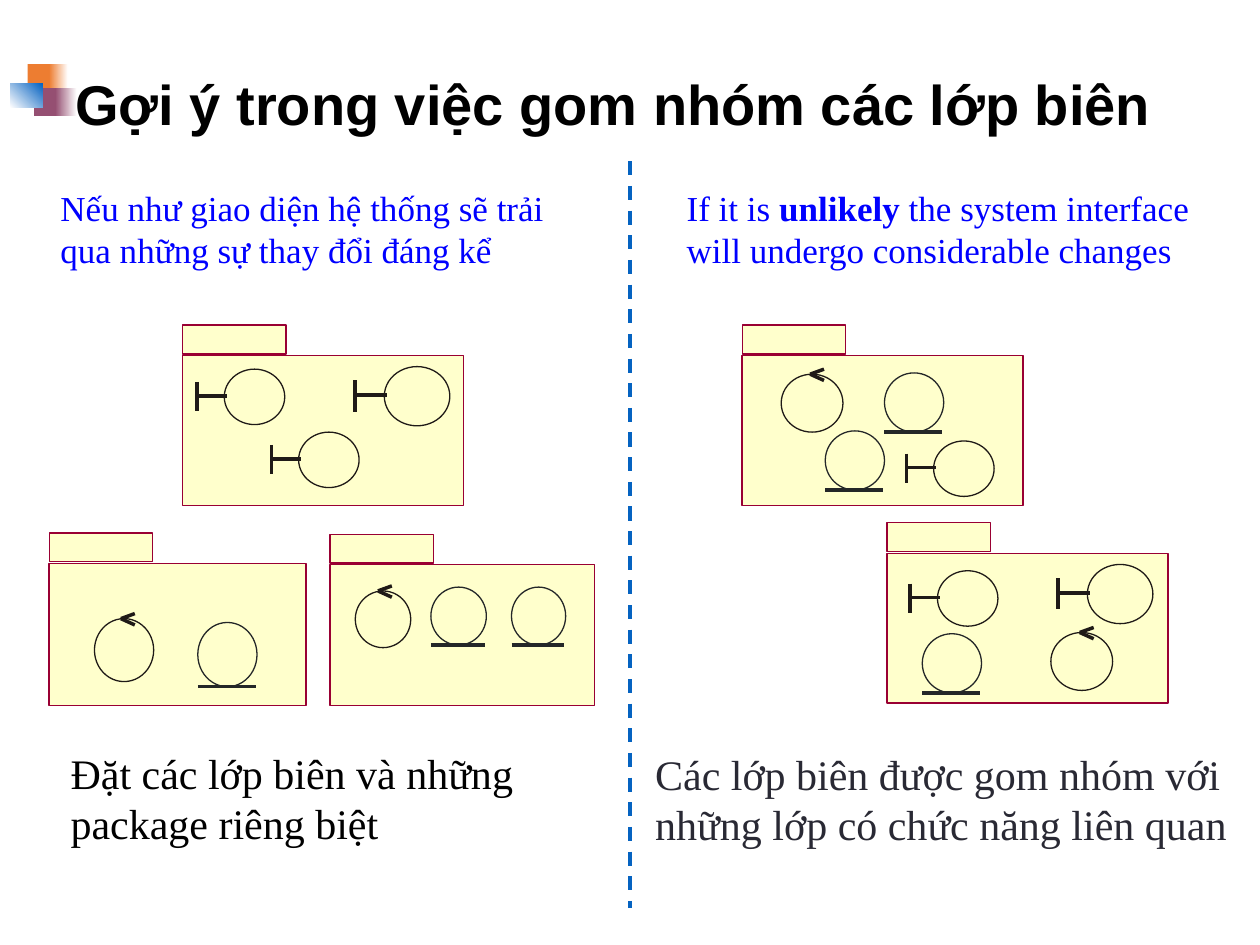
from dataclasses import dataclass

from lxml import etree
from pptx import Presentation
from pptx.dml.color import RGBColor
from pptx.enum.dml import MSO_LINE
from pptx.enum.shapes import MSO_CONNECTOR, MSO_SHAPE
from pptx.enum.text import MSO_ANCHOR, MSO_AUTO_SIZE
from pptx.oxml.ns import qn
from pptx.util import Inches, Pt

RECTANGLE, OVAL = MSO_SHAPE.RECTANGLE, MSO_SHAPE.OVAL
STRAIGHT = MSO_CONNECTOR.STRAIGHT
DASH = MSO_LINE.DASH
MIDDLE = MSO_ANCHOR.MIDDLE
GROW = MSO_AUTO_SIZE.SHAPE_TO_FIT_TEXT


@dataclass(frozen=True)
class Theme:
    heading_font: str = "Arial"
    body_font: str = "Times New Roman"
    title_size: int = 32
    condition_size: int = 20
    advice_size: int = 24
    hairline: int = 0
    divider_width: int = 2
    black: str = "000000"
    white: str = "FFFFFF"
    condition: str = "0000FF"
    advice: str = "292934"
    paper: str = "FFFFCC"
    package_edge: str = "990033"
    symbol_edge: str = "1F1A17"
    entity_edge: str = "242728"
    orange: str = "ED7D31"
    plum: str = "954F72"
    blue: str = "0563C1"


THEME = Theme()


def rgb(value):
    return RGBColor.from_string(value)


def add_block(slide, kind, box, fill, edge=None):
    block = slide.shapes.add_shape(kind, *map(Inches, box))
    block.shadow.inherit = False
    if isinstance(fill, str):
        block.fill.solid()
        block.fill.fore_color.rgb = rgb(fill)
    else:
        start, end, angle = fill
        block.fill.gradient()
        block.fill.gradient_angle = angle
        for stop, color in zip(block.fill.gradient_stops, (start, end)):
            stop.color.rgb = rgb(color)
    if edge:
        block.line.color.rgb = rgb(edge)
        block.line.width = Pt(THEME.hairline)
    else:
        block.line.fill.background()


def add_stroke(slide, start, end, color, width=THEME.hairline, dash=None):
    stroke = slide.shapes.add_connector(STRAIGHT, *map(Inches, (*start, *end)))
    etree.SubElement(stroke._element.spPr, qn("a:effectLst"))
    stroke.line.color.rgb = rgb(color)
    formats = {"width": Pt(width), "dash_style": dash}
    for name, value in formats.items():
        setattr(stroke.line, name, value)


def add_text(slide, box, paragraphs, font, color, frame_formats, spacing=None):
    frame = slide.shapes.add_textbox(*map(Inches, box)).text_frame
    for name, value in frame_formats.items():
        setattr(frame, name, value)
    for index, runs in enumerate(paragraphs):
        paragraph = frame.add_paragraph() if index else frame.paragraphs[0]
        paragraph.line_spacing = spacing
        for wording, bold in runs:
            run = paragraph.add_run()
            run.text = wording
            for name, value in {**font, "bold": bold}.items():
                setattr(run.font, name, value)
            run.font.color.rgb = rgb(color)


def add_ornament(slide, box):
    left, top = box[:2]
    tiles = (
        (0.14, 0, 0.2, 0.22, THEME.orange),
        (0.31, 0, 0.15, 0.22, (THEME.orange, THEME.white, 0)),
        (0.19, 0.19, 0.19, 0.22, THEME.plum),
        (0.36, 0.19, 0.17, 0.22, (THEME.plum, THEME.white, 0)),
        (0, 0.15, 0.26, 0.19, (THEME.white, THEME.blue, 45)),
    )
    for x, y, width, height, fill in tiles:
        add_block(slide, RECTANGLE, (left + x, top + y, width, height), fill)


def add_title(slide, box):
    add_text(slide, box, [[("Gợi ý trong việc gom nhóm các lớp biên", True)]],
             {"name": THEME.heading_font, "size": Pt(THEME.title_size)},
             THEME.black, {"word_wrap": True, "vertical_anchor": MIDDLE}, 0.9)


def add_body(slide, box, paragraphs, size, color, wrap=True):
    formats = {"word_wrap": wrap, "auto_size": GROW,
               "margin_left": Inches(0.12), "margin_right": Inches(0.12),
               "margin_top": Inches(0.06), "margin_bottom": Inches(0.06)}
    add_text(slide, box, paragraphs,
             {"name": THEME.body_font, "size": Pt(size)}, color, formats)


def add_boundary(slide, box):
    left, top, width, height = box
    add_block(slide, OVAL, box, THEME.paper, THEME.symbol_edge)
    bar, stem = left - 0.45 * width, top + 0.48 * height
    add_stroke(slide, (bar, top + 0.23 * height), (bar, top + 0.76 * height),
               THEME.symbol_edge)
    add_stroke(slide, (bar, stem), (left + 0.04 * width, stem), THEME.symbol_edge)


def add_control(slide, box):
    left, top, width, _ = box
    add_block(slide, OVAL, box, THEME.paper, THEME.symbol_edge)
    right = left + width
    for rise in (-0.04, 0.05):
        add_stroke(slide, (right - 0.15, top + rise), (right - 0.26, top),
                   THEME.symbol_edge)


def add_entity(slide, box):
    left, top, width, height = box
    add_block(slide, OVAL, box, THEME.paper, THEME.entity_edge)
    add_stroke(slide, (left, top + height), (left + width - 0.01, top + height),
               THEME.entity_edge)


def add_package(slide, box, classes):
    left, top = box[:2]
    add_block(slide, RECTANGLE, box, THEME.paper, THEME.package_edge)
    add_block(slide, RECTANGLE, (left, top - 0.24, 0.82, 0.23),
              THEME.paper, THEME.package_edge)
    for add_symbol, x, y, width, height in classes:
        add_symbol(slide, (left + x, top + y, width, height))


def add_changing_side(slide, box):
    left, top = box[:2]
    add_body(slide, (left + 0.36, top + 0.14, 4.33, 0.79),
             [[("Nếu như giao diện hệ thống sẽ trải qua những sự thay đổi đáng kể", False)]],
             THEME.condition_size, THEME.condition)
    add_package(slide, (left + 1.45, top + 1.54, 2.23, 1.19), (
        (add_boundary, 1.6, 0.09, 0.52, 0.47),
        (add_boundary, 0.92, 0.61, 0.48, 0.44),
        (add_boundary, 0.33, 0.11, 0.48, 0.44)))
    add_package(slide, (left + 0.39, top + 3.19, 2.04, 1.13), (
        (add_control, 0.36, 0.44, 0.47, 0.5),
        (add_entity, 1.18, 0.47, 0.47, 0.51)))
    add_package(slide, (left + 2.62, top + 3.2, 2.1, 1.12), (
        (add_control, 0.2, 0.21, 0.44, 0.45),
        (add_entity, 0.8, 0.18, 0.44, 0.46),
        (add_entity, 1.44, 0.18, 0.43, 0.46)))
    add_body(slide, (left + 0.44, top + 4.59, 4.05, 0.93),
             [[("Đặt các lớp biên và những package riêng biệt", False)]],
             THEME.advice_size, THEME.black)


def add_stable_side(slide, box):
    left, top = box[:2]
    add_body(slide, (left + 0.33, top + 0.14, 4.33, 1.12),
             [[("If it is ", False), ("unlikely", True),
               (" the system interface will undergo considerable changes", False)]],
             THEME.condition_size, THEME.condition)
    add_package(slide, (left + 0.89, top + 1.54, 2.23, 1.19), (
        (add_control, 0.31, 0.15, 0.49, 0.46),
        (add_entity, 1.13, 0.14, 0.47, 0.47),
        (add_boundary, 1.52, 0.68, 0.48, 0.44),
        (add_entity, 0.66, 0.6, 0.47, 0.47)))
    add_package(slide, (left + 2.04, top + 3.11, 2.23, 1.19), (
        (add_boundary, 1.59, 0.09, 0.52, 0.47),
        (add_boundary, 0.4, 0.14, 0.48, 0.44),
        (add_entity, 0.28, 0.64, 0.47, 0.47),
        (add_control, 1.3, 0.63, 0.49, 0.46)))
    add_body(slide, (left + 0.08, top + 4.6, 4.85, 0.93),
             [[("Các lớp biên được gom nhóm với", False)],
              [("những lớp có chức năng liên quan", False)]],
             THEME.advice_size, THEME.advice, wrap=False)


def main():
    deck = Presentation()
    deck.slide_width, deck.slide_height = Inches(10), Inches(7.5)
    slide = deck.slides.add_slide(deck.slide_layouts[6])
    add_ornament(slide, (0.08, 0.51, 0.53, 0.41))
    add_title(slide, (0.5, 0.42, 9.6, 0.86))
    add_changing_side(slide, (0, 1.28, 5, 5.93))
    add_stroke(slide, (5, 1.28), (5, 7.21), THEME.blue, THEME.divider_width, DASH)
    add_stable_side(slide, (5, 1.28, 5, 5.93))
    deck.save("out.pptx")


if __name__ == "__main__":
    main()
